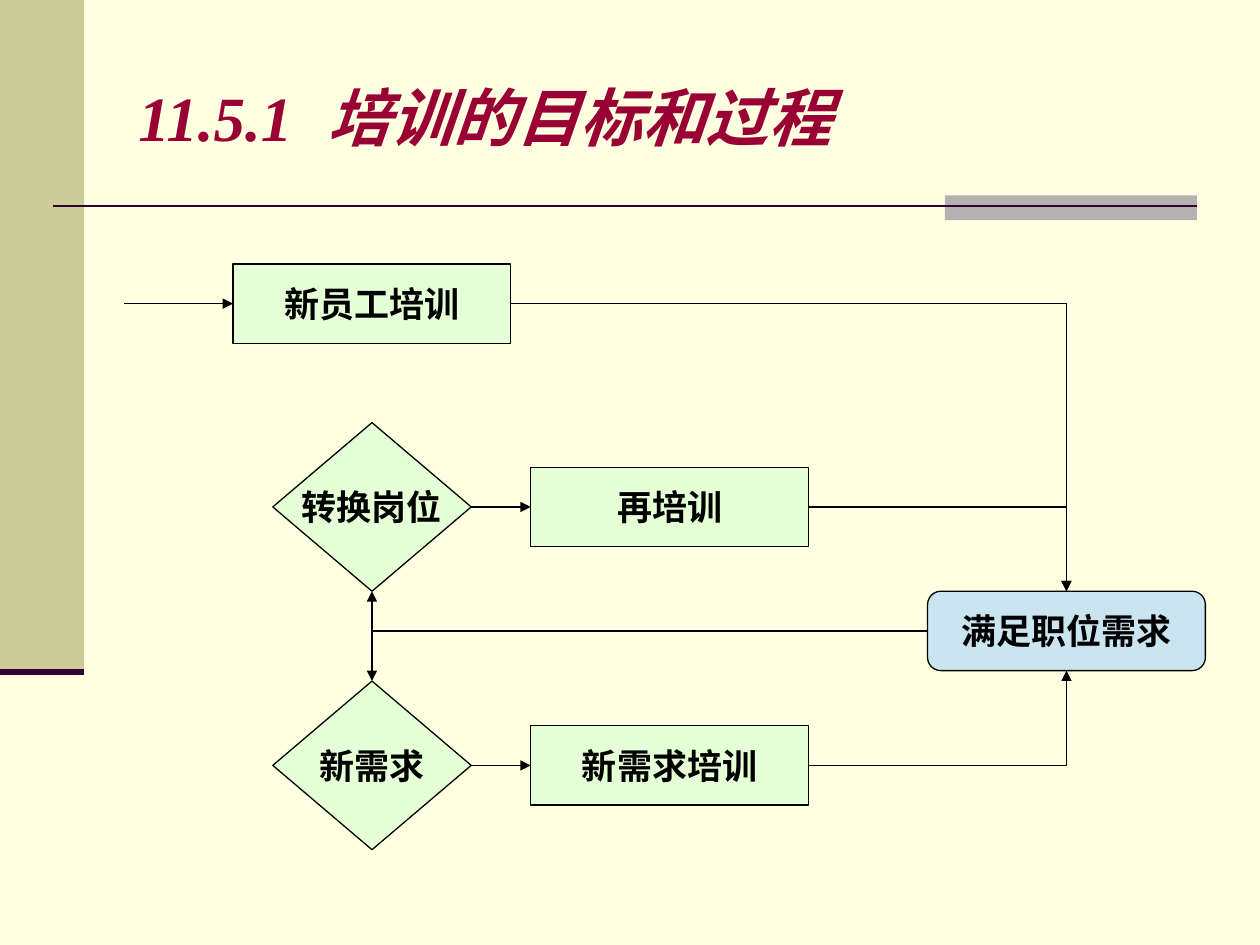
import pptx
import pptx.util
import pptx.dml.color
import pptx.enum.shapes
import pptx.enum.text
import pptx.oxml
import pptx.oxml.ns
from dataclasses import dataclass

Cm = pptx.util.Cm
Pt = pptx.util.Pt
Rgb = pptx.dml.color.RGBColor.from_string
Shape = pptx.enum.shapes.MSO_SHAPE
Connector = pptx.enum.shapes.MSO_CONNECTOR
Anchor = pptx.enum.text.MSO_ANCHOR
Align = pptx.enum.text.PP_ALIGN
SubElement = pptx.oxml.ns.qn


@dataclass(frozen=True)
class Theme:
    background: str = "FFFFE1"
    sidebar: str = "CCCC99"
    accent: str = "B2B2B2"
    rule: str = "330033"
    title: str = "990033"
    ink: str = "000000"
    step: str = "CCFFCC"
    goal: str = "99CCFF"
    title_size: int = 36
    label_size: int = 20
    flow_width: float = 0.75


def add_block(kind, left, top, width, height, color):
    block = slide.shapes.add_shape(kind, Cm(left), Cm(top), Cm(width), Cm(height))
    block.shadow.inherit = False
    block.fill.solid()
    block.fill.fore_color.rgb = Rgb(color)
    block.line.fill.background()
    return block


def add_line(kind, x1, y1, x2, y2, color, width, arrow=False):
    line = slide.shapes.add_connector(kind, Cm(x1), Cm(y1), Cm(x2), Cm(y2))
    line.line.color.rgb = Rgb(color)
    line.line.width = Pt(width)
    properties = line._element.spPr
    if arrow:
        outline = line.line._get_or_add_ln()
        outline.append(outline.makeelement(qn("a:tailEnd"), {"type": "triangle"}))
    properties.append(properties.makeelement(qn("a:effectLst"), {}))
    return line


qn = pptx.oxml.ns.qn
theme = Theme()
deck = pptx.Presentation()
deck.slide_width, deck.slide_height = Cm(25.4), Cm(19.05)
slide = deck.slides.add_slide(deck.slide_layouts[6])
slide.background.fill.solid()
slide.background.fill.fore_color.rgb = Rgb(theme.background)

add_block(Shape.RECTANGLE, 0, 0, 1.7, 13.55, theme.sidebar)
add_block(Shape.RECTANGLE, 19.05, 3.94, 5.08, 0.5, theme.accent)
add_line(Connector.STRAIGHT, 1.06, 4.15, 24.13, 4.15, theme.rule, 1.5)
add_line(Connector.STRAIGHT, 0, 13.55, 1.7, 13.55, theme.rule, 3.5)

title = slide.shapes.add_textbox(Cm(2.54), Cm(0.76), Cm(21.59), Cm(3.18)).text_frame
title.word_wrap = True
title.vertical_anchor = Anchor.MIDDLE
heading = title.paragraphs[0]
heading.text = "11.5.1\t培训的目标和过程"
heading_properties = heading._p.get_or_add_pPr()
tabs = heading_properties.makeelement(qn("a:tabLst"), {})
tabs.append(tabs.makeelement(qn("a:tab"), {"pos": str(Cm(3.81)), "algn": "l"}))
heading_properties.append(tabs)
heading.font.name = "Times New Roman"
heading.font.size = Pt(theme.title_size)
heading.font.bold = heading.font.italic = True
heading.font.color.rgb = Rgb(theme.title)

trigger_x, training_x, goal_x = 7.5, 13.5, 21.5
newcomer_y, transfer_y, goal_y, demand_y = 6.12, 10.22, 12.72, 15.43
box, diamond = (5.6, 1.6), (4, 3.4)
nodes = [
    ("新员工培训", Shape.RECTANGLE, trigger_x, newcomer_y, box, theme.step),
    ("转换岗位", Shape.DIAMOND, trigger_x, transfer_y, diamond, theme.step),
    ("再培训", Shape.RECTANGLE, training_x, transfer_y, box, theme.step),
    ("新需求", Shape.DIAMOND, trigger_x, demand_y, diamond, theme.step),
    ("新需求培训", Shape.RECTANGLE, training_x, demand_y, box, theme.step),
    ("满足职位需求", Shape.ROUNDED_RECTANGLE, goal_x, goal_y, box, theme.goal),
]
steps = {}
for wording, kind, x, y, (width, height), color in nodes:
    step = add_block(kind, x - width / 2, y - height / 2, width, height, color)
    tint = step.fill._xPr.find(qn("a:solidFill"))[0]
    tint.append(tint.makeelement(qn("a:alpha"), {"val": "50000"}))
    step.line.color.rgb = Rgb(theme.ink)
    step.line.width = Pt(theme.flow_width)
    frame = step.text_frame
    frame.margin_left = frame.margin_right = frame.margin_top = frame.margin_bottom = 0
    frame.word_wrap = False
    frame.vertical_anchor = Anchor.MIDDLE
    label = frame.paragraphs[0]
    label.text = wording
    label.alignment = Align.CENTER
    label.font.name = "Arial"
    label.font.size = Pt(theme.label_size)
    label.font.bold = True
    label.font.color.rgb = Rgb(theme.ink)
    steps[wording] = step

top, left, bottom, right = range(4)
flows = [
    ("新员工培训", right, "满足职位需求", top),
    ("满足职位需求", left, "转换岗位", bottom),
    ("满足职位需求", left, "新需求", top),
    ("转换岗位", right, "再培训", left),
    ("新需求", right, "新需求培训", left),
    ("再培训", right, "满足职位需求", top),
    ("新需求培训", right, "满足职位需求", bottom),
]
for source, source_side, target, target_side in flows:
    flow = add_line(Connector.ELBOW, 0, 0, 0, 0, theme.ink, theme.flow_width, arrow=True)
    flow.begin_connect(steps[source], source_side)
    flow.end_connect(steps[target], target_side)
    if target_side in (top, bottom):
        flow._element.spPr.find(qn("a:prstGeom")).set("prst", "bentConnector2")

entry = add_line(Connector.STRAIGHT, 2.5, newcomer_y, trigger_x - box[0] / 2, newcomer_y,
                 theme.ink, theme.flow_width, arrow=True)
entry.end_connect(steps["新员工培训"], left)

deck.save("out.pptx")
